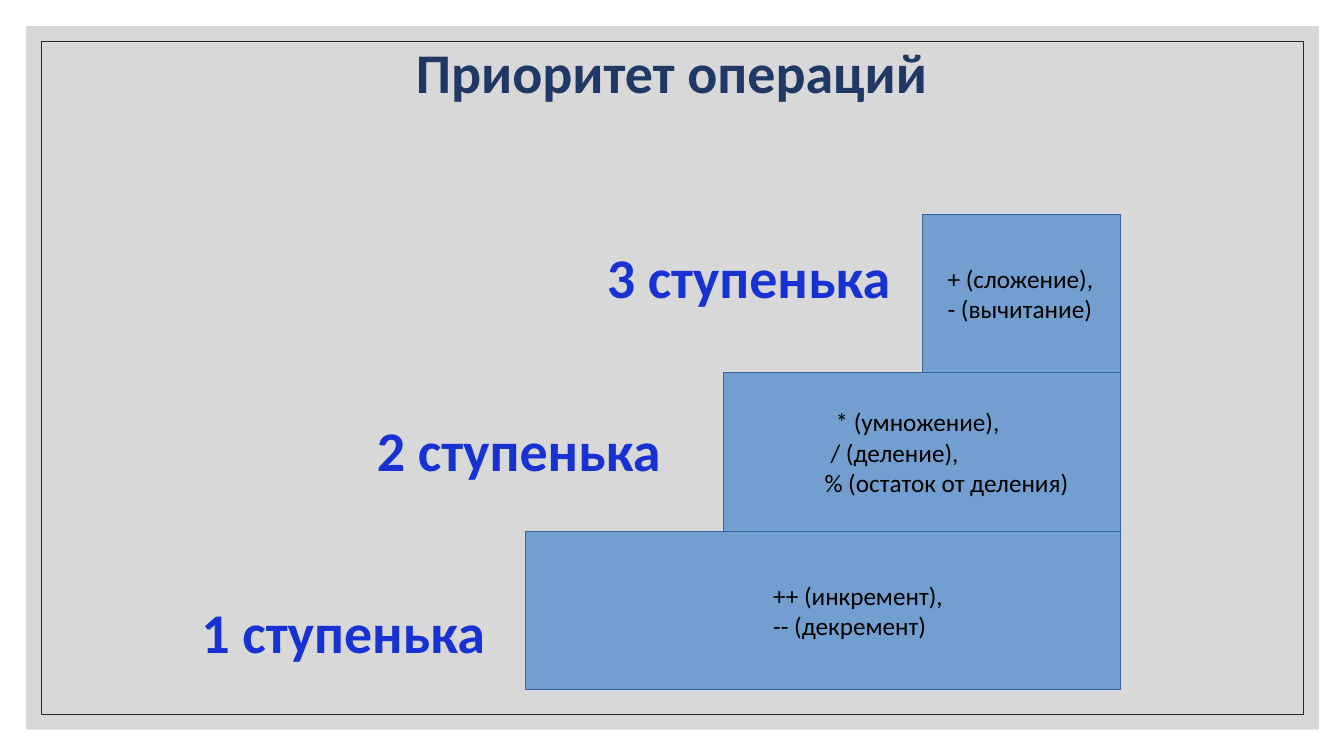
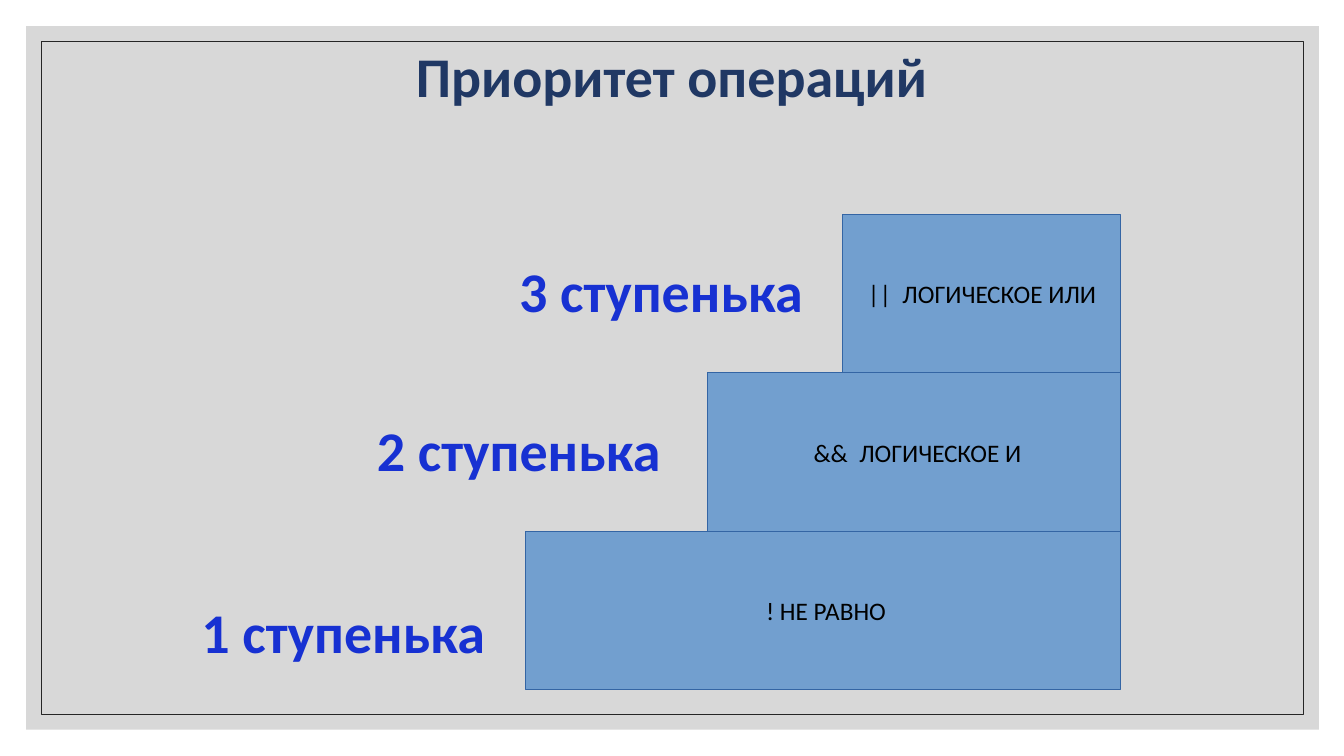
from dataclasses import dataclass
from typing import NamedTuple

from lxml.etree import SubElement as Sub
from pptx import Presentation
from pptx.dml.color import RGBColor as Rgb
from pptx.enum.shapes import MSO_SHAPE as Kind
from pptx.enum.text import MSO_ANCHOR as Anchor, PP_ALIGN as Align
from pptx.oxml.ns import qn
from pptx.util import Pt

SCALE = 9144


@dataclass(frozen=True)
class Theme:
    """Colours, font and type sizes of the deck."""
    font: str = "Calibri"
    big: int = 40
    small: int = 18
    title: str = "203864"
    label: str = "1731D2"
    ink: str = "000000"
    step: str = "729FCF"
    edge: str = "3465A4"
    band: str = "BFBFBF"
    rule: str = "262626"


class Box(NamedTuple):
    """A place on the slide in px."""
    x: int
    y: int
    w: int
    h: int


class Line(NamedTuple):
    """A line of text with its left indent in px."""
    text: str
    indent: int = 0


class Step(NamedTuple):
    """A stair step with its left edge, label box and lines."""
    left: int
    name: str
    label: Box
    lines: list[Line]


class Page(NamedTuple):
    """A slide with its title spacing and its steps from the bottom up."""
    space: float
    steps: list[Step]


LOOK = Theme()
SIZE = Box(0, 0, 1333, 750)
HEAD = Box(235, 33, 862, 83)
RIGHT, FOOT, RISE = 1111, 684, 157

FIRST = Box(190, 588, 319, 65)
SECOND = Box(364, 407, 338, 65)

PAGES = [
    Page(0.9, [
        Step(521, "1 ступенька", FIRST,
             [Line("++ (инкремент),", 236), Line("-- (декремент)", 236)]),
        Step(718, "2 ступенька", SECOND,
             [Line("* (умножение),", 101), Line("/ (деление),", 96),
              Line("% (остаток от деления)", 90)]),
        Step(915, "3 ступенька", Box(592, 236, 323, 66),
             [Line("+ (сложение),", 15), Line("- (вычитание)", 15)]),
    ]),
    Page(1.0, [
        Step(521, "1 ступенька", FIRST, [Line("! НЕ РАВНО", 229)]),
        Step(702, "2 ступенька", SECOND, [Line("&&  ЛОГИЧЕСКОЕ И", 95)]),
        Step(836, "3 ступенька", Box(505, 250, 338, 65),
             [Line("||  ЛОГИЧЕСКОЕ ИЛИ", 15)]),
    ]),
]


def emu(box: Box) -> list[int]:
    """Turn a box into EMU lengths."""
    return [side * SCALE for side in box]


def write(shape, lines: list[Line], *, size: int, color: str, bold: bool = False,
          align=Align.LEFT, anchor=Anchor.MIDDLE, space: float = 1.0) -> None:
    """Fill a shape with formatted lines."""
    frame = shape.text_frame
    frame.word_wrap = True
    frame.vertical_anchor = anchor
    for i, line in enumerate(lines):
        para = frame.add_paragraph() if i else frame.paragraphs[0]
        para.alignment = align
        para.line_spacing = space
        if line.indent:
            props = para._p.get_or_add_pPr()
            props.set("marL", str(line.indent * SCALE))
            props.set("indent", "0")
        run = para.add_run()
        run.text = line.text
        font = run.font
        font.name, font.size, font.bold = LOOK.font, Pt(size), bold
        font.color.rgb = Rgb.from_string(color)


def block(slide, box: Box, *, fill: str = "", line: str = "",
          width: float = 0.75, alpha: int = 100):
    """Draw a rectangle."""
    shape = slide.shapes.add_shape(Kind.RECTANGLE, *emu(box))
    shape.shadow.inherit = False
    if fill:
        shape.fill.solid()
        shape.fill.fore_color.rgb = Rgb.from_string(fill)
    else:
        shape.fill.background()
    if alpha < 100:
        color = shape.element.spPr.find(f"{qn('a:solidFill')}/{qn('a:srgbClr')}")
        Sub(color, qn("a:alpha")).set("val", str(alpha * 1000))
    if line:
        shape.line.color.rgb = Rgb.from_string(line)
        shape.line.width = Pt(width)
    else:
        shape.line.fill.background()
    return shape


def label(slide, box: Box, text: str, **style) -> None:
    """Draw bold large text in a box."""
    write(slide.shapes.add_textbox(*emu(box)), [Line(text)],
          size=LOOK.big, bold=True, **style)


def dress(layout, slide) -> None:
    """Give the layout the band and frame that all slides share."""
    for holder in list(layout.placeholders):
        holder.element.getparent().remove(holder.element)
    band = block(slide, Box(26, 26, 1282, 698), fill=LOOK.band, alpha=60)
    frame = block(slide, Box(41, 41, 1252, 668), line=LOOK.rule, width=0.5)
    for shape in (band, frame):
        layout.element.cSld.spTree.append(shape.element)


def stairs(slide, page: Page) -> None:
    """Draw the title, the steps and their labels."""
    label(slide, HEAD, "Приоритет операций", color=LOOK.title,
          align=Align.CENTER, space=page.space)
    for i, step in enumerate(page.steps):
        box = Box(step.left, FOOT - (i + 1) * RISE, RIGHT - step.left, RISE)
        shape = block(slide, box, fill=LOOK.step, line=LOOK.edge)
        write(shape, step.lines, size=LOOK.small, color=LOOK.ink)
        label(slide, step.label, step.name, color=LOOK.label, anchor=Anchor.TOP)


def main() -> None:
    """Build and save the deck."""
    deck = Presentation()
    deck.slide_width, deck.slide_height = SIZE.w * SCALE, SIZE.h * SCALE
    blank = deck.slide_layouts[6]
    slides = [deck.slides.add_slide(blank) for _ in PAGES]
    dress(blank, slides[0])
    for slide, page in zip(slides, PAGES):
        stairs(slide, page)
    deck.save("out.pptx")


if __name__ == "__main__":
    main()
